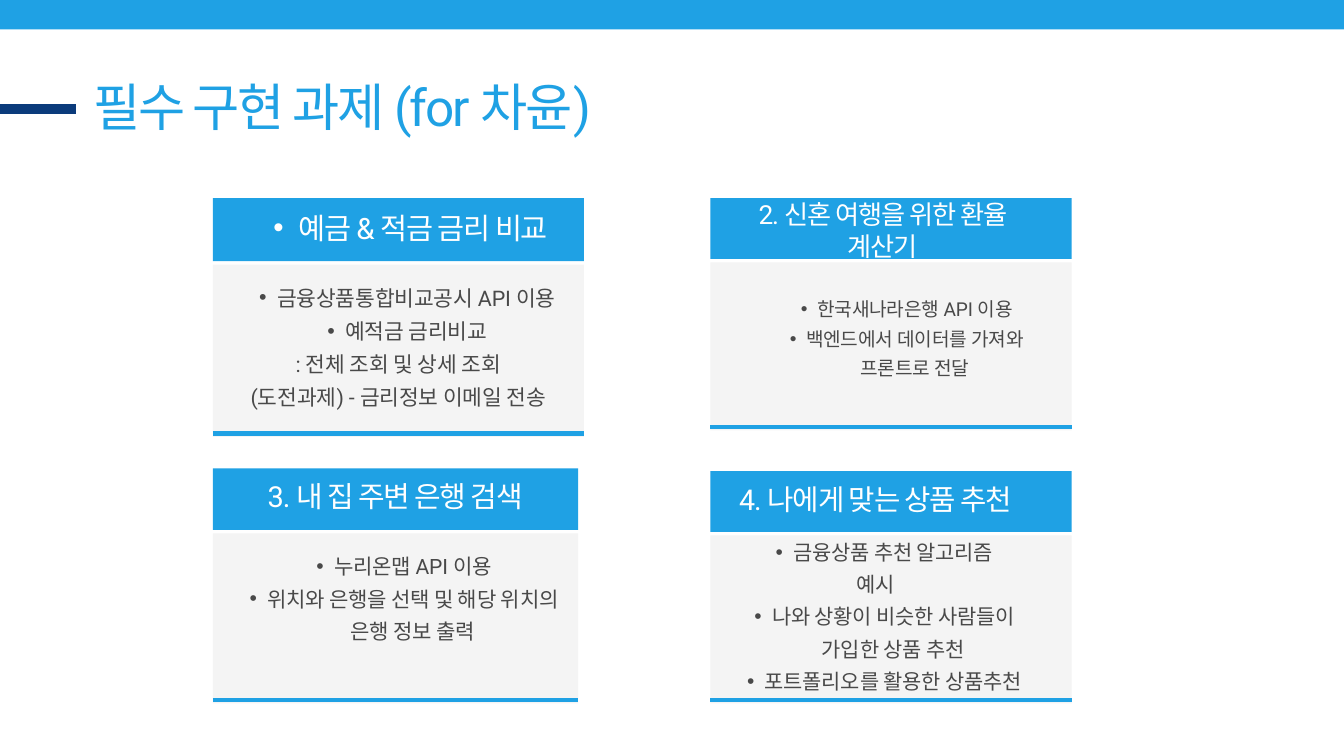
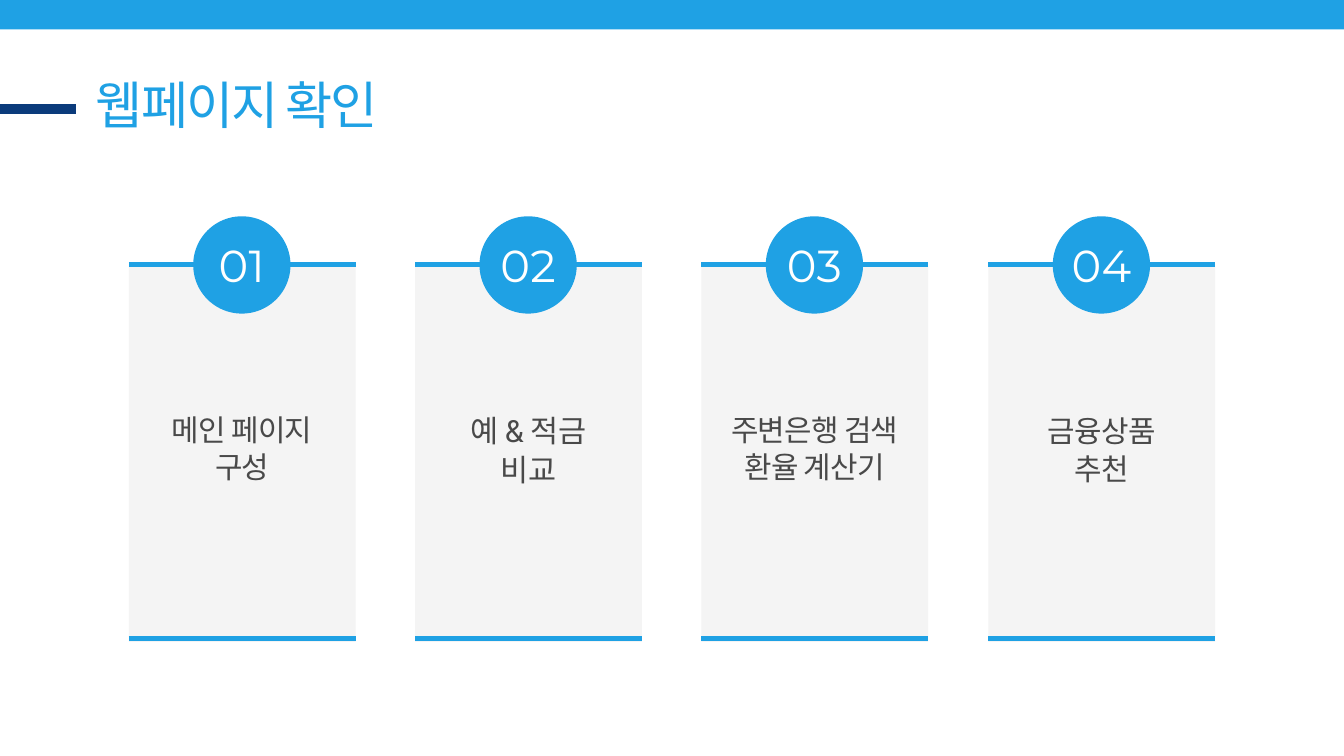
from lxml import etree
from pptx import Presentation
from pptx.dml.color import RGBColor
from pptx.enum.shapes import MSO_CONNECTOR, MSO_SHAPE
from pptx.enum.text import MSO_ANCHOR, MSO_AUTO_SIZE, PP_ALIGN
from pptx.oxml.ns import qn
from pptx.util import Pt

RECT, OVAL = MSO_SHAPE.RECTANGLE, MSO_SHAPE.OVAL
LINE = MSO_CONNECTOR.STRAIGHT
LEFT, CENTER = PP_ALIGN.LEFT, PP_ALIGN.CENTER
TOP, MIDDLE = MSO_ANCHOR.TOP, MSO_ANCHOR.MIDDLE
GROW, FIXED = MSO_AUTO_SIZE.SHAPE_TO_FIT_TEXT, MSO_AUTO_SIZE.NONE

PX = 9525  # EMU per px, 96 px to the inch
W, H = 1920, 1080
BLUE, NAVY, GREY, INK, WHITE = "1FA1E4", "0B3B7B", "F4F4F4", "494949", "FFFFFF"
rgb = RGBColor.from_string


def draw(s, kind, x, y, w, h, color):
    """Add a filled shape, or a horizontal line whose h is its weight in points."""
    if kind is LINE:
        sp = s.shapes.add_connector(kind, x * PX, y * PX, (x + w) * PX, y * PX)
        sp.line.color.rgb = rgb(color)
        sp.line.width = Pt(h)
        etree.SubElement(sp._element.spPr, qn("a:effectLst"))
        return sp
    sp = s.shapes.add_shape(kind, x * PX, y * PX, w * PX, h * PX)
    sp.shadow.inherit = False
    sp.fill.solid()
    sp.fill.fore_color.rgb = rgb(color)
    sp.line.fill.background()
    return sp


def write(sp, lines, size, color, box=None, font=None, align=CENTER,
          spacing=1.2, track=-4, anchor=TOP, fit=GROW):
    """Fill sp with lines; "•" starts a bullet, track is in percent of the size."""
    if box:
        sp.left, sp.top, sp.width, sp.height = [v * PX for v in box]
    tf = sp.text_frame
    tf.word_wrap = True
    tf.auto_size = fit
    tf.vertical_anchor = anchor
    tf.margin_left = tf.margin_right = tf.margin_top = tf.margin_bottom = 0
    for i, line in enumerate(lines):
        p = tf.add_paragraph() if i else tf.paragraphs[0]
        text = line.removeprefix("• ")
        if text != line:
            pPr = p._p.get_or_add_pPr()
            indent = round(size * 2.25 * PX)
            pPr.set("marL", str(indent))
            pPr.set("indent", str(-indent // 2))
            etree.SubElement(pPr, qn("a:buFont")).set("typeface", "Arial")
            etree.SubElement(pPr, qn("a:buChar")).set("char", "•")
            p.level = 1
        p.alignment = align
        p.line_spacing = Pt(round(size * spacing, 1))
        r = p.add_run()
        r.text = text
        # Lines of Hangul alone are in Calibri, mixed lines in Roboto
        mixed = any(c.isascii() and c != " " for c in text)
        r.font.name = font or ("Roboto" if mixed else "Calibri")
        r.font.size = Pt(size)
        r.font.color.rgb = rgb(color)
        r._r.get_or_add_rPr().set("spc", str(round(size * track)))


prs = Presentation()
prs.slide_width, prs.slide_height = W * PX, H * PX

# Both slides: title, top band and title dash
slides = []
for title, box in [("필수 구현 과제 (for 차윤)", (133, 107, 853, 102)),
                   ("웹페이지 확인", (137, 105, 694, 102))]:
    s = prs.slides.add_slide(prs.slide_layouts[5])
    write(s.shapes.title, [title], 55, BLUE, box, align=LEFT)
    draw(s, RECT, 0, 0, W, 42, BLUE)
    draw(s, LINE, 0, 156, 108, 11.25, NAVY)
    slides.append(s)
tasks, pages = slides

# Slide 1: four task cards
# Each: x, y, width, header and body heights; header text; body text
cards = [
    ((304, 283, 530, 90, 246),
     "• 예금 & 적금 금리 비교", 31.5, (327, 300, 484, 57),
     ["• 금융상품통합비교공시 API 이용", "• 예적금 금리비교",
      ": 전체 조회 및 상세 조회", "(도전과제) - 금리정보 이메일 전송"],
     23, (327, 396, 484, 192)),
    ((304, 669, 522, 88, 243),
     "3. 내 집 주변 은행 검색", 31, (326, 684, 477, 57),
     ["• 누리온맵 API 이용",
      "• 위치와 은행을 선택 및 해당 위치의 은행 정보 출력"],
     22.6, (326, 780, 477, 143)),
    ((1015, 283, 516, 87, 240),
     "2. 신혼 여행을 위한 환율 계산기", 28.1, (1045, 284, 432, 96),
     ["• 한국새나라은행 API 이용",
      "• 백엔드에서 데이터를 가져와 프론트로 전달"],
     20.5, (1068, 415, 432, 129)),
    ((1015, 673, 516, 87, 240),
     "4. 나에게 맞는 상품 추천", 30.7, (1015, 688, 472, 56),
     ["• 금융상품 추천 알고리즘", "예시",
      "• 나와 상황이 비슷한 사람들이 가입한 상품 추천",
      "• 포트폴리오를 활용한 상품추천"],
     22.4, (1015, 760, 472, 233)),
]
GAP = 5
for (x, y, w, head_h, body_h), head, head_size, head_box, body, body_size, body_box in cards:
    body_y = y + head_h + GAP
    draw(tasks, RECT, x, y, w, head_h, BLUE)
    draw(tasks, RECT, x, body_y, w, body_h, GREY)
    draw(tasks, LINE, x, body_y + body_h - GAP, w, 4.75, BLUE)
    write(tasks.shapes.add_textbox(0, 0, 0, 0), [head], head_size, WHITE, head_box,
          track=-3.9)
    write(tasks.shapes.add_textbox(0, 0, 0, 0), body, body_size, INK, body_box,
          spacing=1.55, track=-0.9)

# Slide 2: four numbered columns, evenly spread between the margins
MARGIN, COL_W, COL_Y, COL_H, DISC = 184, 324, 378, 539, 139
labels = [
    (["메인 페이지", "구성"], 32, 586),
    (["예 & 적금", "비교"], 32.7, 587),
    (["주변은행 검색", "환율 계산기"], 32, 586),
    (["금융상품", "추천"], 32, 588),
]
span = W - 2 * MARGIN - COL_W
for i, (label, size, label_y) in enumerate(labels):
    x = MARGIN + i * span // (len(labels) - 1)
    draw(pages, RECT, x, COL_Y, COL_W, COL_H, GREY)
    for y in (COL_Y, COL_Y + COL_H - GAP):
        draw(pages, LINE, x, y, COL_W, 5, BLUE)
    disc = draw(pages, OVAL, x + (COL_W - DISC) // 2, COL_Y - DISC // 2, DISC, DISC, BLUE)
    write(disc, [f"{i + 1:02}"], 48, WHITE, font="Montserrat", track=1,
          anchor=MIDDLE, fit=FIXED)
    write(pages.shapes.add_textbox(0, 0, 0, 0), label, size, INK,
          (x, label_y, COL_W, 114), spacing=1.25, track=-2.5)

prs.save("out.pptx")
